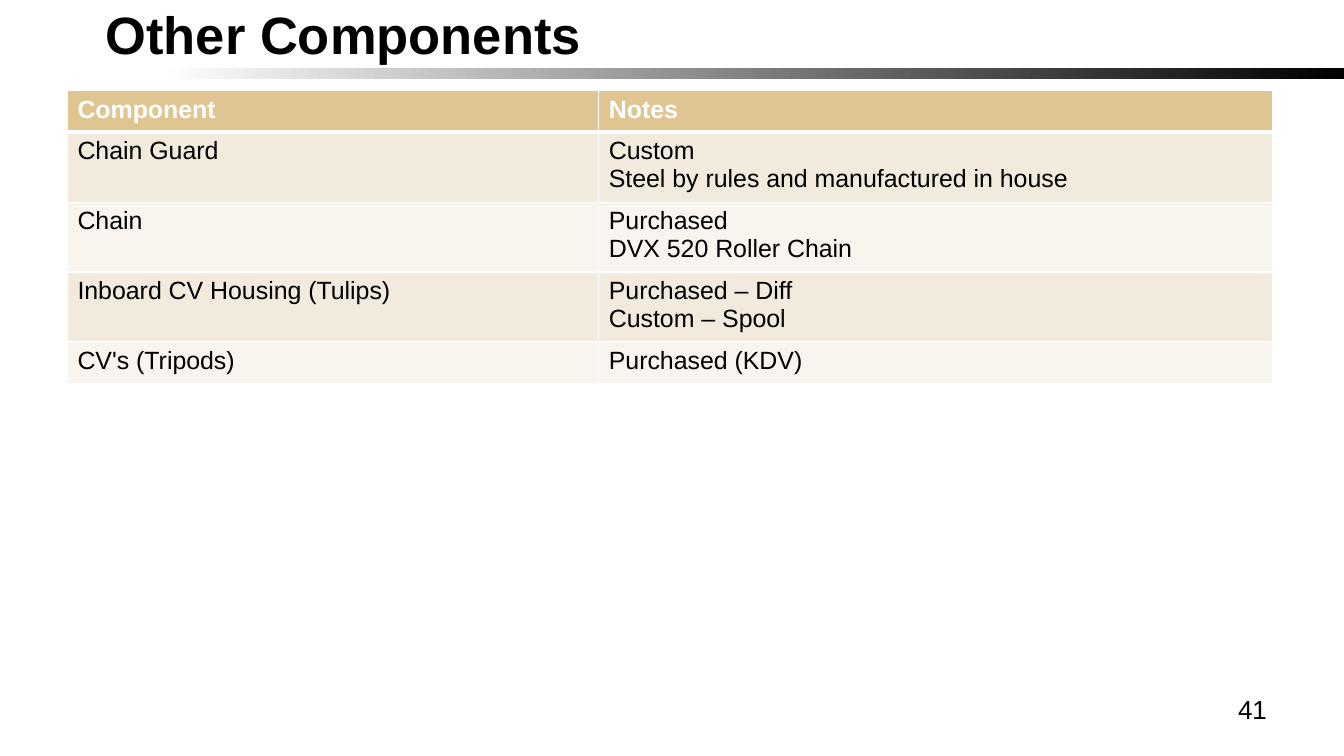
import pptx
import pptx.util
import pptx.dml.color
import pptx.enum.shapes
import pptx.enum.text
import pptx.oxml
import pptx.oxml.ns
from pptx.util import Cm, Pt

# Content
TITLE = "Other Components"
PAGE_NUMBER = "41"
HEADINGS = ("Component", ["Notes"])
COMPONENTS = [
    ("Chain Guard", ["Custom", "Steel by rules and manufactured in house"]),
    ("Chain", ["Purchased", "DVX 520 Roller Chain"]),
    ("Inboard CV Housing (Tulips)", ["Purchased – Diff", "Custom – Spool"]),
    ("CV's (Tripods)", ["Purchased (KDV)"]),
]
COLORS = {
    "text": "000000",
    "white": "FFFFFF",
    "header": "DEC592",
    "odd": "F2EADC",
    "even": "F9F5EE",
}
FONT = "Arial"
COLUMN_WIDTHS = (13.39, 16.97)
ROW_HEIGHT = 1.04  # rows with two note lines grow to fit
THIN, THICK = 1, 3


def color(name):
    return pptx.dml.color.RGBColor.from_string(COLORS[name])


def write(frame, lines, size, color_name="text", bold=False, align=None):
    frame.text = "\n".join(lines)
    for paragraph in frame.paragraphs:
        paragraph.alignment = align
        paragraph.font.name = FONT
        paragraph.font.size = Pt(size)
        paragraph.font.bold = bold
        paragraph.font.color.rgb = color(color_name)


def add_borders(cell, top, bottom):
    properties = cell._tc.get_or_add_tcPr()
    sides = (("lnL", THIN), ("lnR", THIN), ("lnT", top), ("lnB", bottom))
    for position, (side, width) in enumerate(sides):
        properties.insert(position, pptx.oxml.parse_xml(
            f'<a:{side} {pptx.oxml.ns.nsdecls("a")} w="{Pt(width)}">'
            f'<a:solidFill><a:srgbClr val="{COLORS["white"]}"/></a:solidFill>'
            f'</a:{side}>'))


def add_label(slide, left, top, width, height):
    box = slide.shapes.add_textbox(Cm(left), Cm(top), Cm(width), Cm(height))
    box.text_frame.word_wrap = True
    return box.text_frame


def main():
    deck = pptx.Presentation()
    deck.slide_width, deck.slide_height = Cm(33.87), Cm(19.05)
    slide = deck.slides.add_slide(deck.slide_layouts[6])

    # Fading band under the title
    band = slide.shapes.add_shape(
        pptx.enum.shapes.MSO_SHAPE.RECTANGLE, 0, Cm(1.71), deck.slide_width, Cm(0.28))
    band.shadow.inherit = False
    band.line.fill.background()
    band.fill.gradient()
    band.fill.gradient_angle = 180
    fade = (("text", 0), ("white", 0.88))
    for stop, (name, position) in zip(band.fill.gradient_stops, fade):
        stop.color.rgb = color(name)
        stop.position = position

    # Title
    title = add_label(slide, 1.7, 0.56, 22.02, 1.09)
    title.vertical_anchor = pptx.enum.text.MSO_ANCHOR.BOTTOM
    title.margin_left, title.margin_bottom = Cm(0.96), 0
    write(title, [TITLE], 37.5, bold=True)

    # Page number
    page = add_label(slide, 24.28, 17.35, 7.9, 1.32)
    write(page, [PAGE_NUMBER], 18.6, align=pptx.enum.text.PP_ALIGN.RIGHT)

    # Component table
    rows = [HEADINGS] + COMPONENTS
    table = slide.shapes.add_table(
        len(rows), len(COLUMN_WIDTHS), Cm(1.7), Cm(2.29),
        Cm(sum(COLUMN_WIDTHS)), Cm(ROW_HEIGHT * len(rows))).table
    for column, width in zip(table.columns, COLUMN_WIDTHS):
        column.width = Cm(width)
    for index, (component, notes) in enumerate(rows):
        is_header = index == 0
        band_name = "header" if is_header else "odd" if index % 2 else "even"
        for cell, lines in zip(table.rows[index].cells, ([component], notes)):
            write(cell.text_frame, lines, 17.8,
                  "white" if is_header else "text", is_header)
            cell.fill.solid()
            cell.fill.fore_color.rgb = color(band_name)
            add_borders(cell, THICK if index == 1 else THIN,
                        THICK if is_header else THIN)

    deck.save("out.pptx")


if __name__ == "__main__":
    main()
